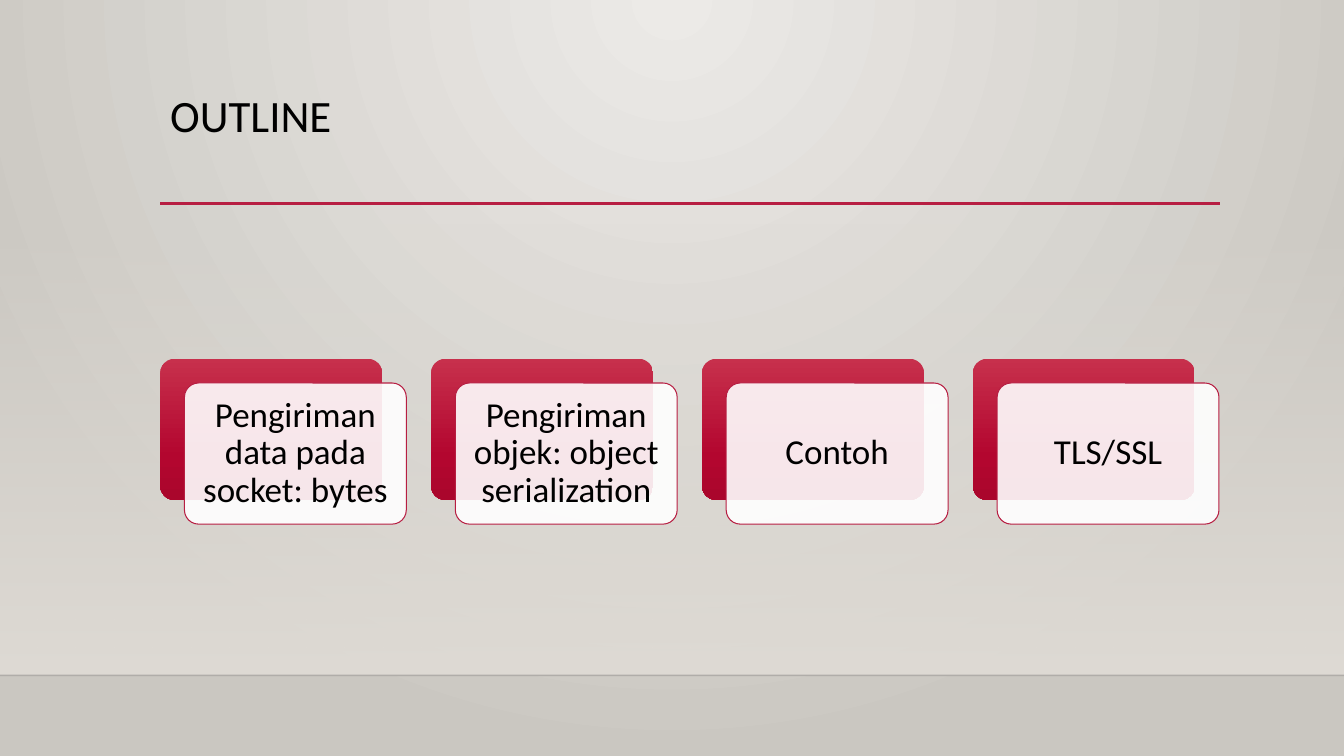
from lxml.etree import SubElement
from pptx import Presentation
from pptx.dml.color import RGBColor
from pptx.enum.shapes import MSO_CONNECTOR, MSO_SHAPE
from pptx.enum.text import MSO_ANCHOR, PP_ALIGN
from pptx.oxml.ns import qn
from pptx.util import Inches, Pt

CRIMSON = "B71E42"
TOPICS = [
    "Pengiriman data pada socket: bytes",
    "Pengiriman objek: object serialization",
    "Contoh",
    "TLS/SSL",
]
LEFT, CONTENT_WIDTH = 1.59, 10.5
CARD_WIDTH, CARD_HEIGHT = 2.2, 1.4
CARD_TOP, OFFSET = 3.56, 0.24
PITCH = (CONTENT_WIDTH - CARD_WIDTH - OFFSET) / (len(TOPICS) - 1)


def set_gradient(fill, owner, stops):
    """Give fill the (percent, colour, opacity) stops, top to bottom; return its XML."""
    fill.gradient()
    gradient = owner.find(".//" + qn("a:gradFill"))
    for child in list(gradient):
        gradient.remove(child)
    stop_list = SubElement(gradient, qn("a:gsLst"))
    for percent, colour, opacity in stops:
        stop = SubElement(stop_list, qn("a:gs"), pos=str(percent * 1000))
        tint = SubElement(stop, qn("a:srgbClr"), val=colour)
        if opacity < 100:
            SubElement(tint, qn("a:alpha"), val=str(opacity * 1000))
    SubElement(gradient, qn("a:lin"), ang="5400000", scaled="0")
    return gradient


def style_text(paragraph, size):
    paragraph.line_spacing = 0.9
    font = paragraph.runs[0].font
    font.name = "Calibri"
    font.size = Pt(size)
    font.color.rgb = RGBColor.from_string("000000")


prs = Presentation()
prs.slide_width, prs.slide_height = Inches(13.33), Inches(7.5)
slide = prs.slides.add_slide(prs.slide_layouts[6])
shapes = slide.shapes

# Backdrop: radial glow from the top centre, with a wall fading in above the floor
glow = set_gradient(slide.background.fill, slide.element,
                    [(0, "ECEAE7", 100), (100, "CAC7C1", 100)])
glow.remove(glow.find(qn("a:lin")))
circle = SubElement(glow, qn("a:path"), path="circle")
SubElement(circle, qn("a:fillToRect"), l="43000", t="0", r="43000", b="100000")

wall = shapes.add_shape(MSO_SHAPE.RECTANGLE, 0, Inches(2.21), Inches(13.33), Inches(4.49))
wall.shadow.inherit = False
wall.line.fill.background()
set_gradient(wall.fill, wall.element, [(0, "DFDBD5", 0), (100, "DFDBD5", 100)])

# Floor edge and title rule
for start, end, y, colour, weight, opacity in [
    (0, 13.33, 6.7, "000001", 1, 20),
    (LEFT, 12.1, 2.02, CRIMSON, 2.5, 100),
]:
    rule = shapes.add_connector(MSO_CONNECTOR.STRAIGHT, Inches(start), Inches(y),
                                Inches(end), Inches(y))
    rule.line.color.rgb = RGBColor.from_string(colour)
    rule.line.width = Pt(weight)
    if opacity < 100:
        tint = rule.element.find(".//" + qn("a:srgbClr"))
        SubElement(tint, qn("a:alpha"), val=str(opacity * 1000))
    SubElement(rule.element.spPr, qn("a:effectLst"))

title = shapes.add_textbox(Inches(LEFT), Inches(0.88), Inches(CONTENT_WIDTH), Inches(1.15))
title.text_frame.word_wrap = True
title.text_frame.text = "OUTLINE"
style_text(title.text_frame.paragraphs[0], 32)

# One crimson plate with a translucent card over it per topic
for index, topic in enumerate(TOPICS):
    x = LEFT + index * PITCH
    plate, card = [
        shapes.add_shape(MSO_SHAPE.ROUNDED_RECTANGLE, Inches(x + shift),
                         Inches(CARD_TOP + shift), Inches(CARD_WIDTH), Inches(CARD_HEIGHT))
        for shift in (0, OFFSET)
    ]
    for panel in (plate, card):
        panel.adjustments[0] = 0.1
        panel.shadow.inherit = False

    set_gradient(plate.fill, plate.element,
                 [(0, "C7304C", 100), (69, "B3062F", 100), (100, "AA062C", 100)])
    plate.line.fill.background()

    card.fill.solid()
    card.fill.fore_color.rgb = RGBColor.from_string("FFFFFF")
    white = card.element.spPr.find(qn("a:solidFill")).find(qn("a:srgbClr"))
    SubElement(white, qn("a:alpha"), val="90000")
    card.line.color.rgb = RGBColor.from_string(CRIMSON)
    card.line.width = Pt(0.75)

    frame = card.text_frame
    frame.word_wrap = True
    frame.vertical_anchor = MSO_ANCHOR.MIDDLE
    frame.margin_left = frame.margin_right = Inches(0.1)
    frame.margin_top = frame.margin_bottom = Inches(0.1)
    frame.text = topic
    frame.paragraphs[0].alignment = PP_ALIGN.CENTER
    style_text(frame.paragraphs[0], 25)

prs.save("out.pptx")
